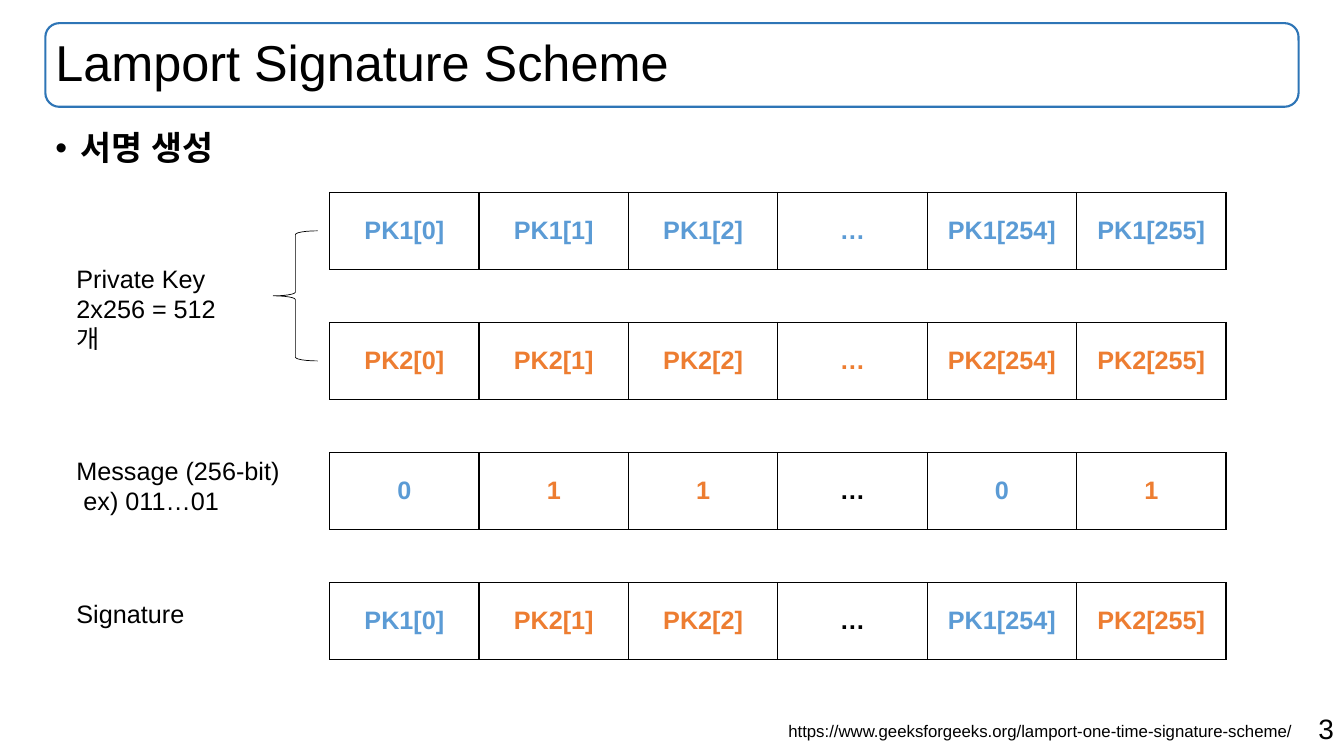
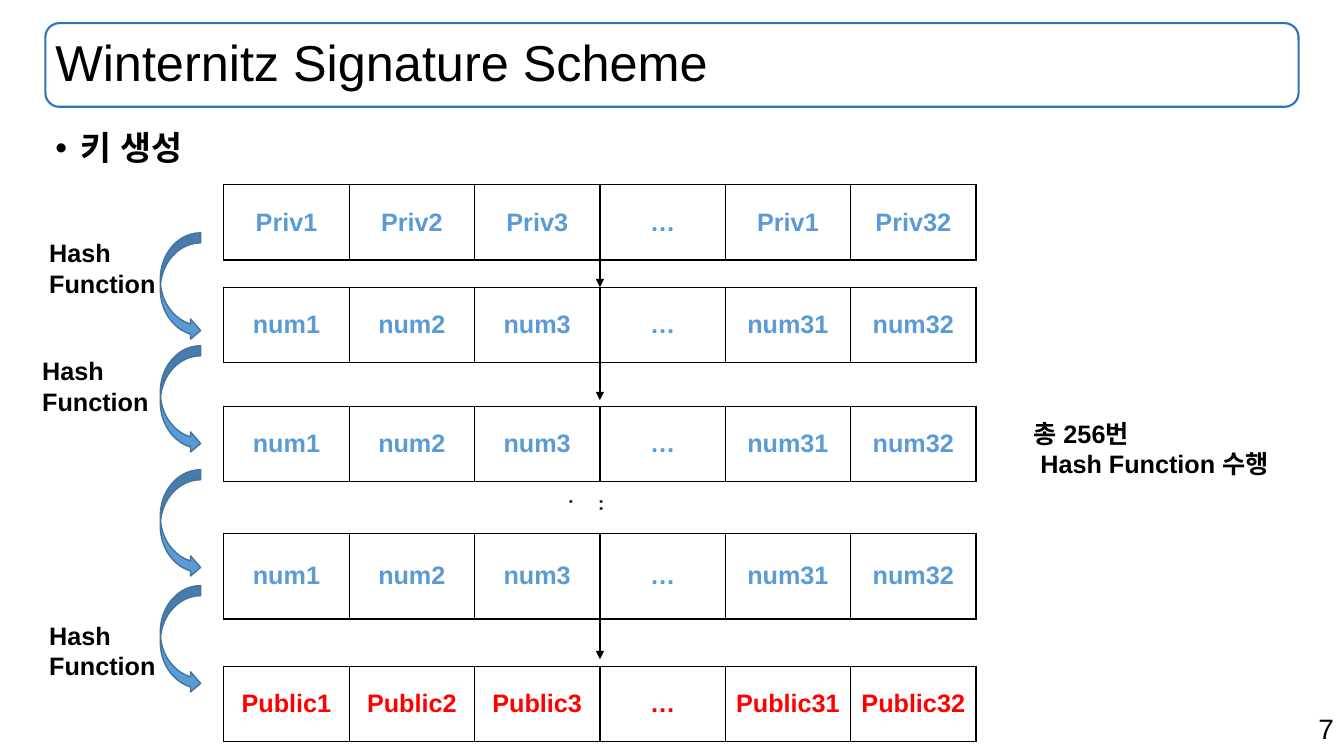
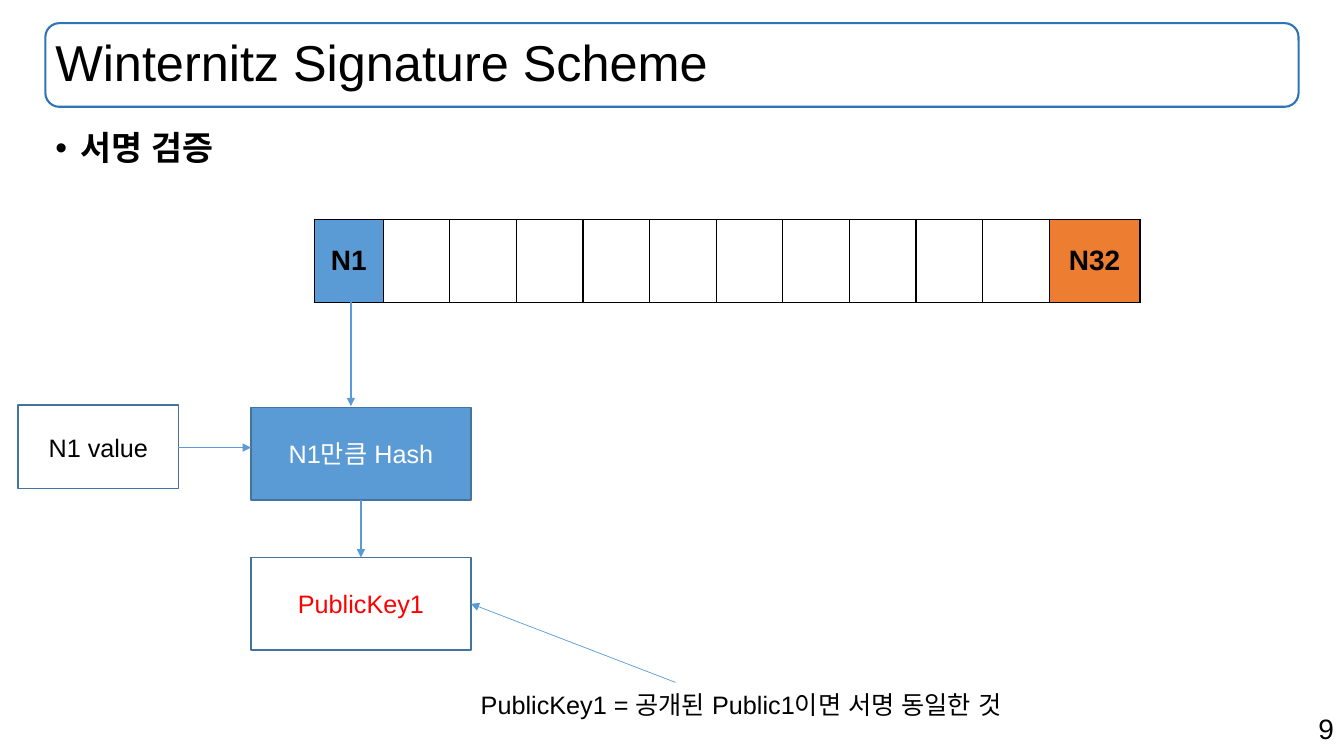
from dataclasses import dataclass
from typing import Optional, Sequence

from lxml import etree
from pptx import Presentation
from pptx.dml.color import RGBColor
from pptx.enum import shapes, text
from pptx.oxml.ns import qn
from pptx.util import Emu, Pt

PX = 9144


@dataclass(frozen=True)
class Theme:
    font: str = "Arial"
    black: str = "000000"
    white: str = "FFFFFF"
    blue: str = "5B9BD5"
    orange: str = "ED7D31"
    red: str = "FF0000"
    frame: str = "2E75B6"
    edge: str = "43739E"
    title: int = 36
    heading: int = 24
    large: int = 20
    normal: int = 18
    small: int = 12


T = Theme()


@dataclass(frozen=True)
class Box:
    x: int
    y: int
    w: int
    h: int


@dataclass(frozen=True)
class Line:
    text: str
    indent: int = 0


@dataclass(frozen=True)
class Label:
    box: Box
    lines: Sequence[Line]
    size: int = T.normal
    bold: bool = False
    wrap: bool = False
    align: Optional[text.PP_ALIGN] = None


@dataclass(frozen=True)
class Cell:
    text: str = ""
    color: str = T.black
    fill: Optional[str] = None


@dataclass(frozen=True)
class Arrow:
    x1: int
    y1: int
    x2: int
    y2: int
    color: str
    width: float = 1


@dataclass(frozen=True)
class Node:
    box: Box
    text: str
    color: str
    fill: Optional[str] = None


def px(n: float) -> Emu:
    return Emu(round(n * PX))


def place(box: Box) -> tuple[Emu, Emu, Emu, Emu]:
    return px(box.x), px(box.y), px(box.w), px(box.h)


def rgb(color: str) -> RGBColor:
    return RGBColor.from_string(color)


def add_run(p, content: str, size: int, color: str = T.black, bold: bool = False) -> None:
    r = p.add_run()
    r.text = content
    f = r.font
    f.name, f.size, f.bold = T.font, Pt(size), bold
    f.color.rgb = rgb(color)
    etree.SubElement(r.font._element, qn("a:ea"), typeface=T.font)


def paint(fill, color: Optional[str]) -> None:
    if color:
        fill.solid()
        fill.fore_color.rgb = rgb(color)
    else:
        fill.background()


def add_label(s, label: Label):
    sp = s.shapes.add_textbox(*place(label.box))
    tf = sp.text_frame
    tf.word_wrap = label.wrap
    tf.auto_size = text.MSO_AUTO_SIZE.SHAPE_TO_FIT_TEXT
    for i, line in enumerate(label.lines):
        p = tf.add_paragraph() if i else tf.paragraphs[0]
        if label.align is not None:
            p.alignment = label.align
        if line.indent:
            p._p.get_or_add_pPr().set("marL", str(px(line.indent)))
        add_run(p, line.text, label.size, bold=label.bold)
    return sp


def add_outline(s, kind, box: Box, line: str, width: float = 1, fill: Optional[str] = None):
    sp = s.shapes.add_shape(kind, *place(box))
    sp.shadow.inherit = False
    paint(sp.fill, fill)
    sp.line.color.rgb = rgb(line)
    sp.line.width = Pt(width)
    return sp


def add_node(s, node: Node) -> None:
    sp = add_outline(s, shapes.MSO_SHAPE.RECTANGLE, node.box, T.edge, fill=node.fill)
    tf = sp.text_frame
    tf.word_wrap = True
    tf.vertical_anchor = text.MSO_ANCHOR.MIDDLE
    p = tf.paragraphs[0]
    p.alignment = text.PP_ALIGN.CENTER
    add_run(p, node.text, T.normal, node.color)


def add_arrow(s, arrow: Arrow) -> None:
    ends = (px(n) for n in (arrow.x1, arrow.y1, arrow.x2, arrow.y2))
    c = s.shapes.add_connector(shapes.MSO_CONNECTOR.STRAIGHT, *ends)
    c.line.color.rgb = rgb(arrow.color)
    c.line.width = Pt(arrow.width)
    props = c.element.spPr
    etree.SubElement(props.find(qn("a:ln")), qn("a:tailEnd"), type="triangle")
    etree.SubElement(props, qn("a:effectLst"))


def add_borders(cell) -> None:
    props = cell._tc.get_or_add_tcPr()
    for i, side in enumerate(("lnL", "lnR", "lnT", "lnB")):
        ln = etree.Element(qn(f"a:{side}"), w=str(Pt(1)))
        fill = etree.SubElement(ln, qn("a:solidFill"))
        etree.SubElement(fill, qn("a:srgbClr"), val=T.black)
        props.insert(i, ln)


def add_row(s, box: Box, cells: Sequence[Cell], widths: Optional[Sequence[int]] = None,
            size: int = T.normal) -> None:
    tbl = s.shapes.add_table(1, len(cells), *place(box)).table
    tbl.first_row = tbl.horz_banding = False
    tbl.rows[0].height = px(box.h)
    for i, item in enumerate(cells):
        tbl.columns[i].width = px(widths[i] if widths else box.w / len(cells))
        cell = tbl.cell(0, i)
        cell.vertical_anchor = text.MSO_ANCHOR.MIDDLE
        paint(cell.fill, item.fill)
        add_borders(cell)
        if item.text:
            p = cell.text_frame.paragraphs[0]
            p.alignment = text.PP_ALIGN.CENTER
            add_run(p, item.text, size, item.color, bold=True)


def add_page(prs, title: str, heading: str, number: int):
    s = prs.slides.add_slide(prs.slide_layouts[6])
    add_label(s, Label(Box(943, 701, 390, 44), [Line(str(number))], T.large,
                       wrap=True, align=text.PP_ALIGN.RIGHT))
    sp = add_outline(s, shapes.MSO_SHAPE.ROUNDED_RECTANGLE, Box(45, 23, 1243, 83), T.frame, 1.5)
    sp.text_frame.word_wrap = True

    sp = s.shapes.add_textbox(*place(Box(45, 23, 1243, 83)))
    tf = sp.text_frame
    tf.word_wrap = True
    tf.vertical_anchor = text.MSO_ANCHOR.MIDDLE
    p = tf.paragraphs[0]
    p.line_spacing = 0.9
    add_run(p, title, T.title)

    sp = s.shapes.add_textbox(*place(Box(45, 126, 1243, 50)))
    tf = sp.text_frame
    tf.word_wrap = True
    p = tf.paragraphs[0]
    p.line_spacing = 0.9
    props = p._p.get_or_add_pPr()
    props.set("marL", str(px(25)))
    props.set("indent", str(px(-25)))
    etree.SubElement(props, qn("a:buFont"), typeface=T.font)
    etree.SubElement(props, qn("a:buChar"), char="•")
    add_run(p, heading, T.heading, bold=True)
    return s


def series(prefix: str, numbers: Sequence[str], color: str) -> list[Cell]:
    return [Cell(n if n == "…" else prefix + n, color) for n in numbers]


def lamport_signing(prs) -> None:
    s = add_page(prs, "Lamport Signature Scheme", "서명 생성", 3)
    positions = ("[0]", "[1]", "[2]", "…", "[254]", "[255]")
    bits = "011…01"
    keys = {"0": series("PK1", positions, T.blue), "1": series("PK2", positions, T.orange)}
    gap = Cell("…")
    message = [Cell(b, keys[b][0].color) if b in keys else gap for b in bits]
    signature = [keys[b][i] if b in keys else gap for i, b in enumerate(bits)]
    for i, cells in enumerate((keys["0"], keys["1"], message, signature)):
        add_row(s, Box(327, 191 + 129 * i, 889, 76), cells)
    add_outline(s, shapes.MSO_SHAPE.LEFT_BRACE, Box(271, 229, 44, 129), T.black, 0.5)
    for label in (
        Label(Box(66, 256, 177, 71), [Line("Private Key"), Line("2x256 = 512개")], wrap=True),
        Label(Box(66, 447, 233, 71), [Line("Message (256-bit)"), Line("ex) 011…01", 7)], wrap=True),
        Label(Box(66, 589, 189, 40), [Line("Signature")], wrap=True),
        Label(Box(772, 710, 546, 30),
              [Line("https://www.geeksforgeeks.org/lamport-one-time-signature-scheme/")],
              T.small, wrap=True),
    ):
        add_label(s, label)


def winternitz_keys(prs) -> None:
    s = add_page(prs, "Winternitz Signature Scheme", "키 생성", 7)
    numbers = ("1", "2", "3", "…", "31", "32")
    private = series("Priv", ("1", "2", "3", "…", "1", "32"), T.blue)
    hashed = series("num", numbers, T.blue)
    public = series("Public", numbers, T.red)
    for y, h, cells in ((183, 75, private), (285, 75, hashed), (403, 75, hashed),
                        (529, 85, hashed), (661, 75, public)):
        add_row(s, Box(222, y, 746, h), cells)
    for y in (245, 357, 614):
        add_arrow(s, Arrow(595, y, 595, y + 40, T.black))
    dots = add_label(s, Label(Box(576, 485, 49, 35), [Line("...")], wrap=True))
    dots.text_frame._txBody.bodyPr.set("vert", "eaVert")
    for y in (231, 343, 466, 581):
        add_outline(s, shapes.MSO_SHAPE.CURVED_RIGHT_ARROW, Box(159, y, 40, 107), T.edge, fill=T.blue)
    for x, y in ((39, 231), (32, 348), (39, 610)):
        add_label(s, Label(Box(x, y, 127, 71), [Line("Hash"), Line("Function")], bold=True))
    add_label(s, Label(Box(1015, 410, 260, 71),
                       [Line("총 256번"), Line("Hash Function 수행", 7)], bold=True))


def winternitz_verification(prs) -> None:
    s = add_page(prs, "Winternitz Signature Scheme", "서명 검증", 9)
    cells = [Cell("N1", fill=T.blue), *[Cell()] * 10, Cell("N32", fill=T.orange)]
    widths = [68, *[66.1] * 10, 90]
    add_row(s, Box(312, 218, 819, 82), cells, widths, T.large)
    for node in (
        Node(Box(249, 404, 218, 92), "N1만큼 Hash", T.white, T.blue),
        Node(Box(18, 402, 159, 83), "N1 value", T.black),
        Node(Box(249, 553, 218, 92), "PublicKey1", T.red),
    ):
        add_node(s, node)
    for arrow in (
        Arrow(177, 444, 249, 444, T.blue),
        Arrow(348, 300, 348, 403, T.blue),
        Arrow(358, 496, 358, 553, T.blue),
        Arrow(670, 677, 467, 599, T.blue, 0.5),
    ):
        add_arrow(s, arrow)
    add_label(s, Label(Box(467, 679, 564, 40),
                       [Line("PublicKey1 = 공개된 Public1이면 서명 동일한 것")]))


def main() -> None:
    prs = Presentation()
    prs.slide_width, prs.slide_height = px(1333), px(750)
    lamport_signing(prs)
    winternitz_keys(prs)
    winternitz_verification(prs)
    prs.save("out.pptx")


if __name__ == "__main__":
    main()
